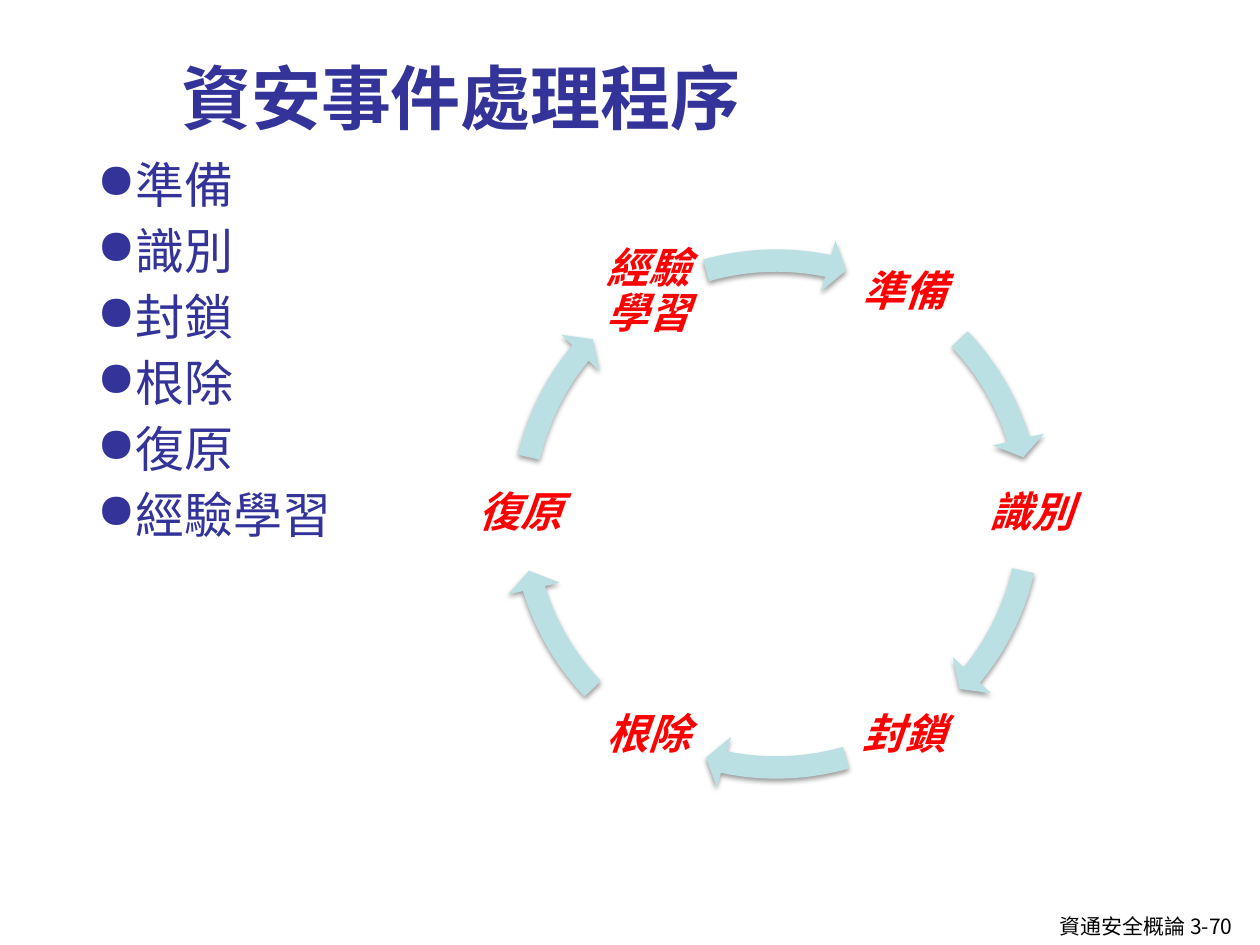
from dataclasses import dataclass
from math import cos, radians, sin

from lxml.etree import SubElement
from pptx import Presentation
from pptx.dml.color import RGBColor
from pptx.enum.shapes import MSO_SHAPE
from pptx.enum.text import MSO_ANCHOR, MSO_AUTO_SIZE, PP_ALIGN
from pptx.oxml.ns import qn
from pptx.util import Inches, Pt

SANS = "Noto Sans CJK SC"
NAVY, RED, PALE_TEAL, BLACK = "333399", "FF0000", "BBE0E3", "000000"

CENTER_X, CENTER_Y = 6.16, 4.08
LABEL_RADIUS, LABEL_SIZE, RING_SIZE = 2.03, 0.91, 4.44


@dataclass
class Stage:
    """A label of the cycle and the arrow leaving it, in degrees clockwise from the right."""
    name: str
    label_angle: float
    arrow_start: float
    arrow_end: float


STAGES = [
    Stage("準備", -60, 316.38, 342.9),
    Stage("識別", 0, 12.94, 39.46),
    Stage("封鎖", 60, 73.97, 101.86),
    Stage("根除", 120, 136.38, 162.9),
    Stage("復原", 180, 192.94, 219.46),
    Stage("經驗學習", 240, 253.97, 281.86),
]


def rgb(color: str) -> RGBColor:
    return RGBColor.from_string(color)


def style(paragraph, size: float, color: str, typeface: str = SANS,
          bold: bool = False, italic: bool = False) -> None:
    """Set the paragraph font, for Latin and East Asian text alike."""
    font = paragraph.font
    font.size, font.bold, font.italic = Pt(size), bold, italic
    font.color.rgb = rgb(color)
    font.name = typeface
    for run in paragraph.runs:
        properties = run._r.get_or_add_rPr()
        SubElement(properties, qn("a:ea"), typeface=typeface)


def add_box(slide, left: float, top: float, width: float, height: float,
            wrap: bool = True):
    box = slide.shapes.add_textbox(Inches(left), Inches(top), Inches(width), Inches(height))
    box.text_frame.word_wrap = wrap
    return box.text_frame


def add_bullet(paragraph) -> None:
    properties = paragraph._p.get_or_add_pPr()
    properties.set("marL", str(Inches(0.31)))
    properties.set("indent", str(Inches(-0.31)))
    SubElement(properties, qn("a:buChar"), char="●")


def add_stage_list(slide) -> None:
    frame = add_box(slide, 0.67, 1.18, 8.83, 5.72)
    for index, stage in enumerate(STAGES):
        item = frame.add_paragraph() if index else frame.paragraphs[0]
        item.text = stage.name
        add_bullet(item)
        item.line_spacing = 1.0
        item.space_before = Pt(2 if index else 0)
        item.space_after = Pt(2)
        style(item, 28, NAVY)


def add_label(slide, stage: Stage) -> None:
    angle = radians(stage.label_angle)
    frame = add_box(slide,
                    CENTER_X + LABEL_RADIUS * cos(angle) - LABEL_SIZE / 2,
                    CENTER_Y + LABEL_RADIUS * sin(angle) - LABEL_SIZE / 2,
                    LABEL_SIZE, LABEL_SIZE)
    frame.margin_left = frame.margin_right = Inches(0.03)
    frame.margin_top = frame.margin_bottom = Inches(0.03)
    frame.vertical_anchor = MSO_ANCHOR.MIDDLE
    label = frame.paragraphs[0]
    label.text = stage.name
    label.alignment = PP_ALIGN.CENTER
    label.line_spacing = 0.9
    style(label, 24, RED, "Noto Sans CJK TC", bold=True, italic=True)


def angle_adjustment(degrees: float) -> float:
    """Convert degrees to the shape's adjustment scale (60000 units a degree, over 100000)."""
    return degrees * 0.6


def add_soft_shadow(shape) -> None:
    shape.shadow.inherit = False
    effects = shape._element.spPr.find(qn("a:effectLst"))
    shadow = SubElement(effects, qn("a:outerShdw"), blurRad=str(Pt(3.1)),
                        dist=str(Pt(1.6)), dir="5400000", rotWithShape="0")
    color = SubElement(shadow, qn("a:srgbClr"), val=BLACK)
    SubElement(color, qn("a:alpha"), val="38000")


def add_arrow(slide, stage: Stage) -> None:
    arrow = slide.shapes.add_shape(
        MSO_SHAPE.CIRCULAR_ARROW,
        Inches(CENTER_X - RING_SIZE / 2), Inches(CENTER_Y - RING_SIZE / 2),
        Inches(RING_SIZE), Inches(RING_SIZE))
    adjustments = (0.04, angle_adjustment(4.17), angle_adjustment(stage.arrow_end),
                   angle_adjustment(stage.arrow_start), 0.047)
    for index, value in enumerate(adjustments):
        arrow.adjustments[index] = value
    arrow.fill.solid()
    arrow.fill.fore_color.rgb = rgb(PALE_TEAL)
    arrow.line.fill.background()
    add_soft_shadow(arrow)


def main() -> None:
    deck = Presentation()
    deck.slide_width, deck.slide_height = Inches(10), Inches(7.5)
    slide = deck.slides.add_slide(deck.slide_layouts[6])

    footer = add_box(slide, 8.31, 7.2, 1.69, 0.3, wrap=False)
    footer.auto_size = MSO_AUTO_SIZE.SHAPE_TO_FIT_TEXT
    footer.paragraphs[0].text = "資通安全概論 3-70"
    style(footer.paragraphs[0], 12, BLACK)

    title = add_box(slide, 1.34, 0.13, 8.16, 1.02)
    title.vertical_anchor = MSO_ANCHOR.BOTTOM
    title.paragraphs[0].text = "資安事件處理程序"
    style(title.paragraphs[0], 40, NAVY, bold=True)

    add_stage_list(slide)
    for stage in STAGES:
        add_label(slide, stage)
        add_arrow(slide, stage)

    deck.save("out.pptx")


if __name__ == "__main__":
    main()
